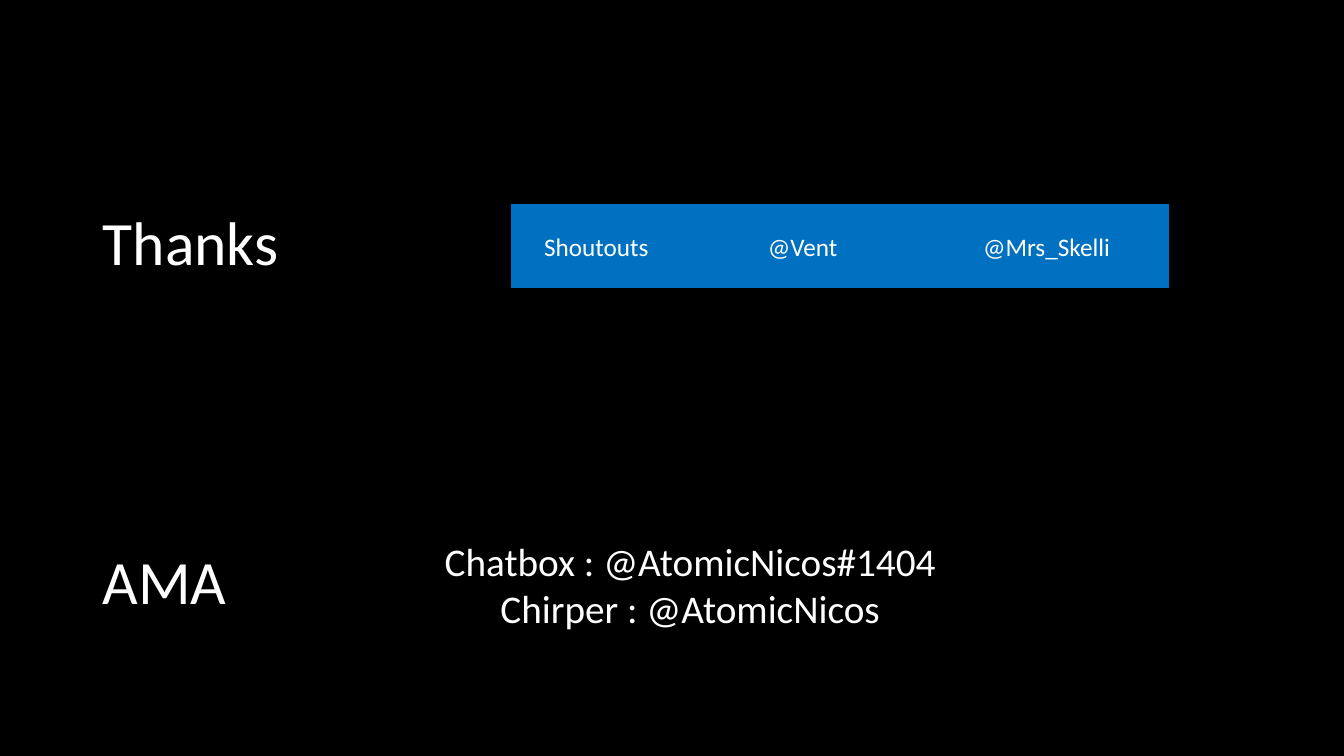
from pptx import Presentation, util as u
from pptx.dml.color import RGBColor
from pptx.enum import shapes, text

PX = u.Inches(1) // 100
BLACK = RGBColor(0x00, 0x00, 0x00)
WHITE = RGBColor(0xFF, 0xFF, 0xFF)
BLUE = RGBColor(0x00, 0x70, 0xC0)


def px(*lengths):
    return [length * PX for length in lengths]


def write(shape, lines, size, align, anchor, spacing=None):
    frame = shape.text_frame
    frame.word_wrap = True
    frame.vertical_anchor = anchor
    frame.text = "\n".join(lines)
    for para in frame.paragraphs:
        para.alignment = align
        para.line_spacing = spacing
        for span in para.runs:
            span.font.name = "Calibri"
            span.font.size = u.Pt(size)
            span.font.color.rgb = WHITE


def add_heading(page, box, label):
    heading = page.shapes.add_textbox(*px(*box))
    write(heading, [label], 44, text.PP_ALIGN.LEFT, text.MSO_ANCHOR.MIDDLE, 0.9)


def add_shoutouts(page, box, label, names):
    left, top, width, height = box
    label_width = 167
    name_width = (width - label_width) // len(names)
    widths = [label_width] + [name_width] * len(names)
    strip = page.shapes.add_group_shape()
    for caption, cell_width in zip([label, *names], widths):
        cell = strip.shapes.add_shape(
            shapes.MSO_SHAPE.RECTANGLE, *px(left, top, cell_width, height))
        cell.shadow.inherit = False
        cell.fill.solid()
        cell.fill.fore_color.rgb = BLUE
        cell.line.color.rgb = BLUE
        cell.line.width = u.Pt(1)
        write(cell, [caption], 18, text.PP_ALIGN.CENTER, text.MSO_ANCHOR.MIDDLE)
        left += cell_width


def add_contacts(page, box, contacts):
    panel = page.shapes.add_textbox(*px(*box))
    write(panel, contacts, 28, text.PP_ALIGN.CENTER, text.MSO_ANCHOR.TOP)
    panel.text_frame.auto_size = text.MSO_AUTO_SIZE.SHAPE_TO_FIT_TEXT


def main():
    deck = Presentation()
    deck.slide_width, deck.slide_height = px(1333, 750)
    page = deck.slides.add_slide(deck.slide_layouts[6])
    page.background.fill.solid()
    page.background.fill.fore_color.rgb = BLACK
    add_heading(page, (92, 171, 242, 145), "Thanks")
    add_shoutouts(page, (508, 203, 651, 82), "Shoutouts", ["@Vent", "@Mrs_Skelli"])
    add_contacts(page, (351, 528, 667, 104),
                 ["Chatbox : @AtomicNicos#1404", "Chirper : @AtomicNicos"])
    add_heading(page, (92, 507, 168, 145), "AMA")
    deck.save("out.pptx")


if __name__ == "__main__":
    main()
